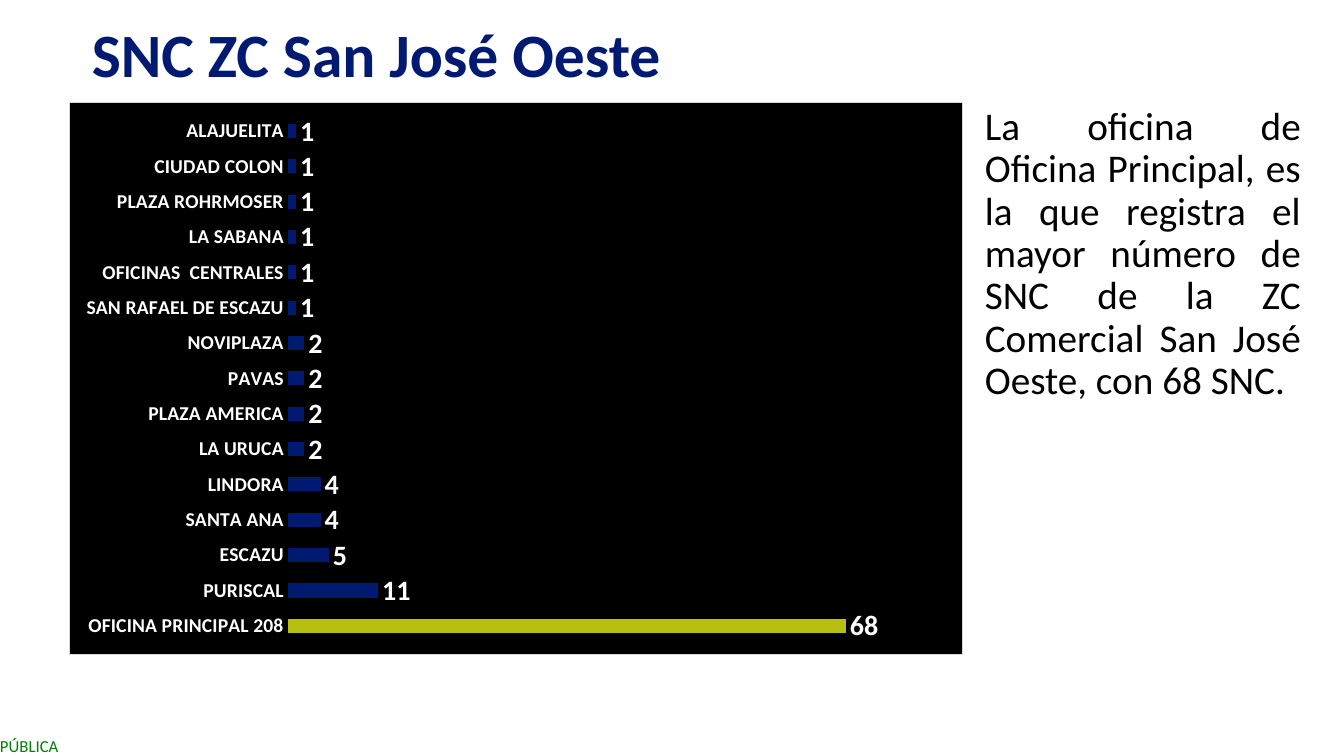
from lxml import etree
from pptx import Presentation
from pptx.chart.data import CategoryChartData
from pptx.dml.color import RGBColor
from pptx.enum.chart import XL_CHART_TYPE as ChartType
from pptx.enum.chart import XL_LABEL_POSITION as LabelPosition
from pptx.enum.chart import XL_TICK_LABEL_POSITION as TickLabelPosition
from pptx.enum.chart import XL_TICK_MARK as TickMark
from pptx.enum.text import MSO_ANCHOR as Anchor
from pptx.enum.text import PP_ALIGN as Align
from pptx.oxml import parse_xml
from pptx.util import Inches, Pt

FONT = "Calibri"
NAVY, LIME, BLACK, WHITE = "001A72", "B7BF10", "000000", "FFFFFF"
GREEN, GREY = "008000", "D9D9D9"
CHART_NS = "http://schemas.openxmlformats.org/drawingml/2006/chart"
DRAWING_NS = "http://schemas.openxmlformats.org/drawingml/2006/main"

OFFICES = [
    ("OFICINA PRINCIPAL 208", 68), ("PURISCAL", 11), ("ESCAZU", 5),
    ("SANTA ANA", 4), ("LINDORA", 4), ("LA URUCA", 2),
    ("PLAZA AMERICA", 2), ("PAVAS", 2), ("NOVIPLAZA", 2),
    ("SAN RAFAEL DE ESCAZU", 1), ("OFICINAS  CENTRALES", 1),
    ("LA SABANA", 1), ("PLAZA ROHRMOSER", 1), ("CIUDAD COLON", 1),
    ("ALAJUELITA", 1),
]


def color(value):
    return RGBColor.from_string(value)


def set_font(font, size, value, bold=False):
    font.name = FONT
    font.size = Pt(size)
    font.bold = bold
    font.color.rgb = color(value)


def add_text(slide, box, text, size, value, bold=False, align=Align.LEFT,
             anchor=Anchor.TOP, spacing=None, wrap=True, margins=True):
    shape = slide.shapes.add_textbox(*map(Inches, box))
    frame = shape.text_frame
    frame.word_wrap = wrap
    frame.vertical_anchor = anchor
    if not margins:
        frame.margin_left = frame.margin_right = 0
        frame.margin_top = frame.margin_bottom = 0
    paragraph = frame.paragraphs[0]
    paragraph.text = text
    paragraph.alignment = align
    paragraph.line_spacing = spacing
    set_font(paragraph.font, size, value, bold)


def style_chart_area(chart):
    """Black background with a thin grey border."""
    area = parse_xml(
        f'<c:spPr xmlns:c="{CHART_NS}" xmlns:a="{DRAWING_NS}">'
        f'<a:solidFill><a:srgbClr val="{BLACK}"/></a:solidFill>'
        f'<a:ln w="{Pt(0.75)}"><a:solidFill><a:srgbClr val="{GREY}"/>'
        '</a:solidFill></a:ln></c:spPr>')
    chart.element.find(f"{{{CHART_NS}}}chart").addnext(area)


def place_plot(chart, left, top, width, height):
    """Fix the inner plot area, in fractions of the chart."""
    plot_area = chart.element.find(f".//{{{CHART_NS}}}plotArea")
    for old in plot_area.findall(f"{{{CHART_NS}}}layout"):
        plot_area.remove(old)
    layout = parse_xml(f'<c:layout xmlns:c="{CHART_NS}"/>')
    manual = etree.SubElement(layout, f"{{{CHART_NS}}}manualLayout")
    for tag, value in [("layoutTarget", "inner"), ("xMode", "edge"),
                       ("yMode", "edge"), ("x", left), ("y", top),
                       ("w", width), ("h", height)]:
        etree.SubElement(manual, f"{{{CHART_NS}}}{tag}").set("val", str(value))
    plot_area.insert(0, layout)


def add_office_chart(slide, box):
    data = CategoryChartData()
    data.categories = [name for name, _ in OFFICES]
    data.add_series("SNC", [count for _, count in OFFICES])
    chart = slide.shapes.add_chart(
        ChartType.BAR_CLUSTERED, *map(Inches, box), data).chart
    chart.has_legend = False
    chart.has_title = False
    set_font(chart.font, 10, BLACK)
    style_chart_area(chart)
    place_plot(chart, 0.245, 0.02, 0.735, 0.96)

    # Axes
    offices = chart.category_axis
    offices.major_tick_mark = offices.minor_tick_mark = TickMark.NONE
    offices.tick_label_position = TickLabelPosition.NEXT_TO_AXIS
    offices.format.line.fill.background()
    set_font(offices.tick_labels.font, 14, WHITE, bold=True)
    counts = chart.value_axis
    counts.has_major_gridlines = False
    counts.minimum_scale, counts.maximum_scale = 0, 80
    counts.visible = False

    # Bars, with the main office highlighted
    plot = chart.plots[0]
    plot.gap_width = 150
    plot.vary_by_categories = False
    series = plot.series[0]
    main_office = series.points[0]
    for bar, value in ((series, NAVY), (main_office, LIME)):
        bar.format.fill.solid()
        bar.format.fill.fore_color.rgb = color(value)

    # Value labels
    labels = series.data_labels
    labels.show_value = True
    labels.position = LabelPosition.OUTSIDE_END
    set_font(labels.font, 20, WHITE, bold=True)


def build_slide(presentation):
    slide = presentation.slides.add_slide(presentation.slide_layouts[6])
    # Classification mark
    add_text(slide, (0, 7.3, 0.83, 0.2), "PÚBLICA", 12, GREEN,
             wrap=False, margins=False)
    # Title
    add_text(slide, (0.56, 0.15, 6.35, 0.85), "SNC ZC San José Oeste", 44,
             NAVY, bold=True, align=Align.CENTER, anchor=Anchor.MIDDLE,
             spacing=0.9)
    # Finding
    add_text(slide, (9.67, 1.01, 3.33, 4.76),
             "La oficina de Oficina Principal, es la que registra el mayor "
             "número de SNC de la ZC Comercial San José Oeste, con 68 SNC.",
             28, BLACK, align=Align.JUSTIFY, spacing=0.9)
    # SNC per office
    add_office_chart(slide, (0.68, 1.01, 8.87, 5.49))


def main():
    presentation = Presentation()
    presentation.slide_width = Inches(13.33)
    presentation.slide_height = Inches(7.5)
    build_slide(presentation)
    presentation.save("out.pptx")


if __name__ == "__main__":
    main()
